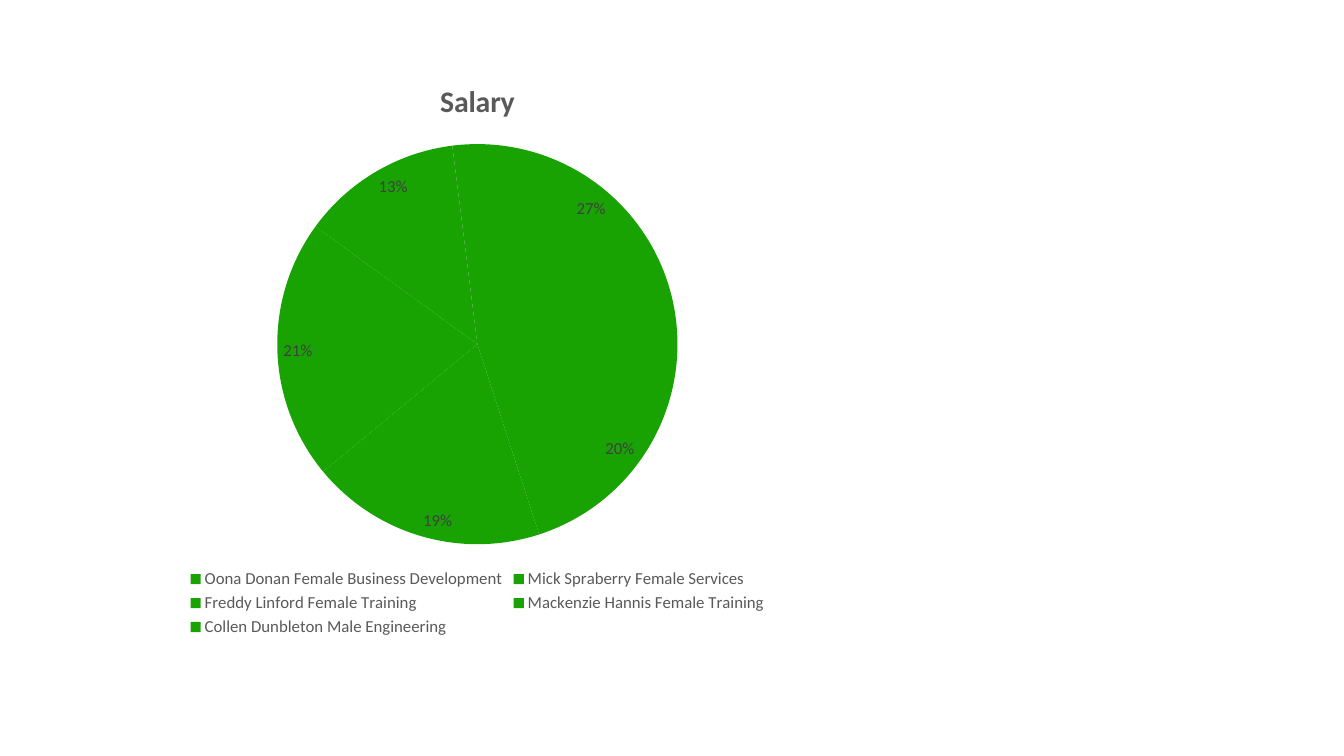
from dataclasses import dataclass

from lxml import etree
from pptx import Presentation
from pptx import util as u
from pptx.chart.data import CategoryChartData
from pptx.dml.color import RGBColor
from pptx.enum import chart as ch
from pptx.oxml.ns import qn


@dataclass(frozen=True)
class Theme:
    font: str = "Calibri"
    slice: str = "18A303"
    text: str = "595959"
    label: str = "404040"
    title_size: float = 21.3
    text_size: float = 12


THEME = Theme()
WIDTH, HEIGHT = u.Inches(13.33), u.Inches(7.5)
CHART_WIDTH, CHART_HEIGHT = 6.89, 5.78
PIE_TOP, PIE_SIZE = 0.85, 3.97
SALARY_SHARES = {
    "Oona Donan Female Business Development": 20,
    "Mick Spraberry Female Services": 19,
    "Freddy Linford Female Training": 21,
    "Mackenzie Hannis Female Training": 13,
    "Collen Dunbleton Male Engineering": 27,
}


def style_font(font, size, color, bold=False):
    font.name = THEME.font
    font.size = u.Pt(size)
    font.bold = bold
    font.color.rgb = RGBColor.from_string(color)


def add_pie(page, name, shares, left, top, width, height):
    """Add a pie chart; the box is given in shares of the slide's size."""
    data = CategoryChartData()
    data.categories = list(shares)
    data.add_series(name, list(shares.values()))
    return page.shapes.add_chart(
        ch.XL_CHART_TYPE.PIE,
        int(WIDTH * left), int(HEIGHT * top),
        int(WIDTH * width), int(HEIGHT * height), data,
    ).chart


def style_title(chart, title):
    chart.has_title = True
    frame = chart.chart_title.text_frame
    frame.text = title
    style_font(frame.paragraphs[0].runs[0].font,
               THEME.title_size, THEME.text, bold=True)
    chart.chart_title.include_in_layout = False


def style_legend(chart):
    chart.has_legend = True
    chart.legend.position = ch.XL_LEGEND_POSITION.BOTTOM
    chart.legend.include_in_layout = False
    style_font(chart.legend.font, THEME.text_size, THEME.text)


def style_slices(plot, start_angle):
    plot.vary_by_categories = True
    series = plot.series[0]
    for index in range(len(plot.categories)):
        look = series.points[index].format
        look.fill.solid()
        look.fill.fore_color.rgb = RGBColor.from_string(THEME.slice)
        look.line.fill.background()

    labels = series.data_labels
    labels.show_percentage = True
    labels.show_value = False
    labels.number_format = "0%"
    labels.number_format_is_linked = False
    labels.position = ch.XL_LABEL_POSITION.INSIDE_END
    style_font(labels.font, THEME.text_size, THEME.label)

    pie = plot._element
    for angle in pie.findall(qn("c:firstSliceAng")):
        pie.remove(angle)
    etree.SubElement(pie, qn("c:firstSliceAng"), val=str(start_angle))


def place_plot(chart, **box):
    """Fix the plot area to x, y, w and h as shares of the chart's size."""
    area = chart._chartSpace.chart.plotArea
    for layout in area.findall(qn("c:layout")):
        area.remove(layout)
    layout = etree.Element(qn("c:layout"))
    area.insert(0, layout)
    manual = etree.SubElement(layout, qn("c:manualLayout"))
    settings = {"layoutTarget": "inner", "xMode": "edge", "yMode": "edge", **box}
    for tag, value in settings.items():
        etree.SubElement(manual, qn(f"c:{tag}"), val=str(value))


def main():
    deck = Presentation()
    deck.slide_width, deck.slide_height = WIDTH, HEIGHT
    page = deck.slides.add_slide(deck.slide_layouts[6])

    chart = add_pie(page, "Salary", SALARY_SHARES,
                    left=1.29 / 13.33, top=0.58 / 7.5,
                    width=CHART_WIDTH / 13.33, height=CHART_HEIGHT / 7.5)
    chart.font.name = "Arial"
    chart.font.size = u.Pt(10)
    style_title(chart, "Salary")
    style_legend(chart)
    style_slices(chart.plots[0], start_angle=90)
    place_plot(chart,
               x=(CHART_WIDTH - PIE_SIZE) / 2 / CHART_WIDTH,
               y=PIE_TOP / CHART_HEIGHT,
               w=PIE_SIZE / CHART_WIDTH,
               h=PIE_SIZE / CHART_HEIGHT)

    deck.save("out.pptx")


if __name__ == "__main__":
    main()
